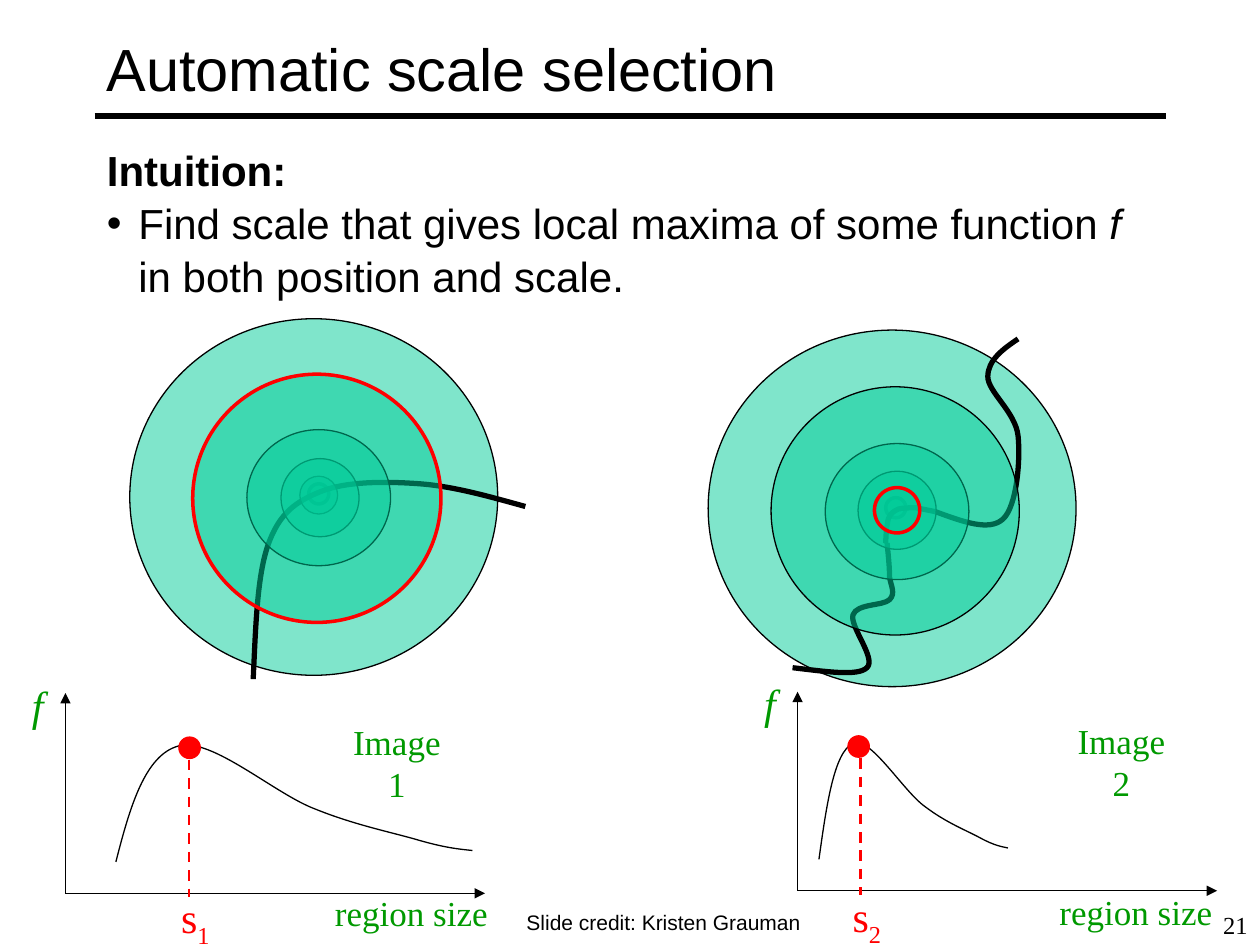
import pptx
import pptx.dml.color
import pptx.enum.dml
import pptx.enum.shapes
import pptx.enum.text
import pptx.oxml
import pptx.oxml.ns
import pptx.util

UNIT = 9144
HUES = {"ink": "000000", "mint": "00CC99", "red": "FF0000", "leaf": "009900"}
SANS = {"name": "Arial", "size": 24, "hue": "ink"}
SERIF = {"name": "Times New Roman", "size": 20, "hue": "leaf"}
SIDES = {"l": "LEFT", "c": "CENTER", "r": "RIGHT"}
HILL = [(0, 134), (11, 91), (23, 49), (50, 42), (76, 35), (126, 80), (158, 92),
        (190, 105), (221, 111), (241, 117), (262, 123), (273, 124), (283, 125)]
ARC = [(98, 286), (100, 245), (101, 204), (110, 179), (119, 154), (132, 145), (152, 137),
       (172, 129), (203, 129), (230, 131), (257, 133), (285, 141), (314, 149)]
UPPER = [(180, 144), (202, 152), (223, 160), (234, 150), (245, 140), (248, 103), (246, 84),
         (244, 65), (222, 49), (222, 37), (222, 24), (234, 15), (246, 7)]
LOWER = [(67, 268), (93, 271), (119, 275), (126, 268), (134, 261), (112, 235), (115, 226),
         (118, 217), (139, 219), (144, 214), (149, 209), (145, 203), (144, 196),
         (144, 188), (143, 179), (142, 169)]
INNER = [(141, 169), (141, 162), (142, 154), (143, 150), (145, 145), (147, 144), (151, 142),
         (155, 141), (160, 141), (165, 141), (170, 142), (175, 143), (180, 144)]


def px(*nums):
    """Turn px into EMU."""
    return [pptx.util.Emu(num * UNIT) for num in nums]


def paint(part, hue):
    """Set the colour of a font, line or fill."""
    part.rgb = pptx.dml.color.RGBColor.from_string(HUES[hue])


def node(parent, tag, **attrs):
    """Add a drawing element to a parent."""
    item = pptx.oxml.parse_xml(f"<a:{tag} {pptx.oxml.ns.nsdecls('a')}/>")
    for key, value in attrs.items():
        item.set(key, str(value))
    parent.append(item)
    return item


def write(slide, box, paras, base, side="l", wrap=True, **rules):
    """Put paragraphs of (text, format) runs in a text box."""
    frame = slide.shapes.add_textbox(*px(*box)).text_frame
    frame.word_wrap = wrap
    for key, value in rules.items():
        setattr(frame, key, value)
    for index, runs in enumerate(paras):
        para = frame.add_paragraph() if index else frame.paragraphs[0]
        para.alignment = getattr(pptx.enum.text.PP_ALIGN, SIDES[side])
        for text, extra in runs:
            form = {**base, **extra}
            run = para.add_run()
            run.text = text
            paint(run.font.color, form.pop("hue"))
            form["size"] = pptx.util.Pt(form["size"])
            drop = form.pop("drop", 0)
            for key, value in form.items():
                setattr(run.font, key, value)
            if drop:
                run.font._element.set("baseline", str(drop))
    return frame


def stroke(shape, hue, width):
    """Give a shape or line its stroke."""
    paint(shape.line.color, hue)
    shape.line.width = pptx.util.Pt(width)


def disc(slide, box, fill, hue="ink", width=0.75, alpha=None):
    """Draw an ellipse."""
    kind = pptx.enum.shapes.MSO_SHAPE.OVAL
    shape = slide.shapes.add_shape(kind, *px(*box))
    shape.shadow.inherit = False
    shape.fill.solid()
    paint(shape.fill.fore_color, fill)
    stroke(shape, hue, width)
    if alpha:
        tint = shape._element.spPr.find(".//" + pptx.oxml.ns.qn("a:srgbClr"))
        node(tint, "alpha", val=alpha * 1000)


def rule(slide, ends, hue="ink", width=0.75, head=False, dash=False):
    """Draw a straight line, with an arrowhead if asked."""
    kind = pptx.enum.shapes.MSO_CONNECTOR.STRAIGHT
    line = slide.shapes.add_connector(kind, *px(*ends))
    stroke(line, hue, width)
    if dash:
        line.line.dash_style = pptx.enum.dml.MSO_LINE.DASH
    if head:
        node(line.line._get_or_add_ln(), "tailEnd", type="triangle")
    node(line._element.spPr, "effectLst")


def curve(slide, x, y, dots, width):
    """Draw a cubic curve through a start and triples of points."""
    dots = [(x + a, y + b) for a, b in dots]
    form = slide.shapes.build_freeform(*dots[0], scale=UNIT)
    form.add_line_segments(dots[1:], close=False)
    shape = form.convert_to_shape()
    shape.shadow.inherit = False
    shape.fill.background()
    stroke(shape, "ink", width)
    steps = list(shape._element.iter(pptx.oxml.ns.qn("a:lnTo")))
    track = steps[0].getparent()
    for index in range(0, len(steps), 3):
        bend = node(track, "cubicBezTo")
        for step in steps[index:index + 3]:
            bend.append(step[0])
            track.remove(step)


def target(slide, x, y, tiny, curves, rings):
    """Draw discs around a curved edge."""
    def ring(box, hue="ink", width=0.75):
        """Place one clear disc in the box."""
        left, top, wide, high = box
        disc(slide, (x + left, y + top, wide, high), "mint", hue, width, 50)

    ring(tiny, width=2)
    ring((0, 0, 292, 283))
    for dots in curves:
        curve(slide, x, y, dots, 3)
    for item in rings:
        ring(*item)


def plot(slide, x, y, high, mark, start, span, dot, stem, tag):
    """Draw a plot of f against region size with its peak."""
    base = y + high
    rule(slide, (x, base, x + 333, base), head=True)
    rule(slide, (x, base, x, y), head=True)
    letter = {"size": 24, "italic": True}
    write(slide, (x - 44, y - 16, 44, 50), [[("f", letter)]], SERIF, "c")
    for text, left, top, wide in (("region size", tag, 153, 141),
                                  (f"Image {mark}", tag + 4, 17, 110)):
        write(slide, (x + left, y + top, wide, 43), [[(text, {})]], SERIF, "c", False)
    dots = [(start + round(a * span / 283), b + high - 159) for a, b in HILL]
    curve(slide, x, y, dots, 0.75)
    disc(slide, (x + dot, y + 35, 17, 17), "red", "red")
    rule(slide, (x + stem, y + 53, x + stem, base + 3), "red", 1.5, dash=True)
    runs = [("s", {}), (str(mark), {"drop": -25000})]
    look = {**SERIF, "size": 24, "hue": "red"}
    write(slide, (x + stem - 17, y + 153, 44, 50), [runs], look, "c", False)


def header(slide, x, y):
    """Write the title over its rule."""
    write(slide, (x, y, 850, 92), [[("Automatic scale selection", {"size": 34})]], SANS,
          vertical_anchor=pptx.enum.text.MSO_ANCHOR.MIDDLE)
    rule(slide, (x, y + 84, x + 850, y + 84), width=3)


def body(slide, x, y):
    """Write the main idea and its bullet."""
    frame = write(slide, (x, y, 825, 131), [
        [("Intuition:", {"bold": True})],
        [("Find scale that gives local maxima of some function ", {}),
         ("f ", {"italic": True}), ("in both position and scale.", {})]], SANS)
    for para in frame.paragraphs:
        para.line_spacing = 1.05
    props = frame.paragraphs[1]._p.get_or_add_pPr()
    inset = 25 * UNIT
    props.set("marL", str(inset))
    props.set("indent", str(-inset))
    node(props, "buFont", typeface="Arial")
    node(props, "buChar", char="•")


def footer(slide, x, y):
    """Write the credit and the page number."""
    credit = [("Slide credit: Kristen Grauman", {"size": 12})]
    write(slide, (x, y, 525, 30), [credit], SANS)
    page = [("21", {"size": 14, "hue": "ink"})]
    write(slide, (x + 384, y, 208, 50), [page], SERIF, "r")


def main():
    """Build the slide and save it."""
    deck = pptx.Presentation()
    deck.slide_width, deck.slide_height = px(1000, 750)
    slide = deck.slides.add_slide(deck.slide_layouts[6])
    header(slide, 75, 8)
    body(slide, 75, 108)
    target(slide, 103, 253, (142, 131, 16, 16), [ARC],
           [((135, 125, 30, 30),), ((120, 111, 62, 62),), ((93, 88, 114, 108),),
            ((50, 44, 197, 197), "red", 2)])
    target(slide, 562, 262, (141, 133, 16, 16), [UPPER, LOWER, INNER],
           [((119, 112, 62, 62),), ((93, 90, 114, 108),), ((50, 45, 197, 197),),
            ((132, 125, 36, 36), "red", 2)])
    plot(slide, 52, 550, 159, 1, start=40, span=283, dot=90, stem=98, tag=204)
    plot(slide, 633, 549, 158, 2, start=17, span=150, dot=40, stem=50, tag=198)
    footer(slide, 408, 717)
    deck.save("out.pptx")


if __name__ == "__main__":
    main()
